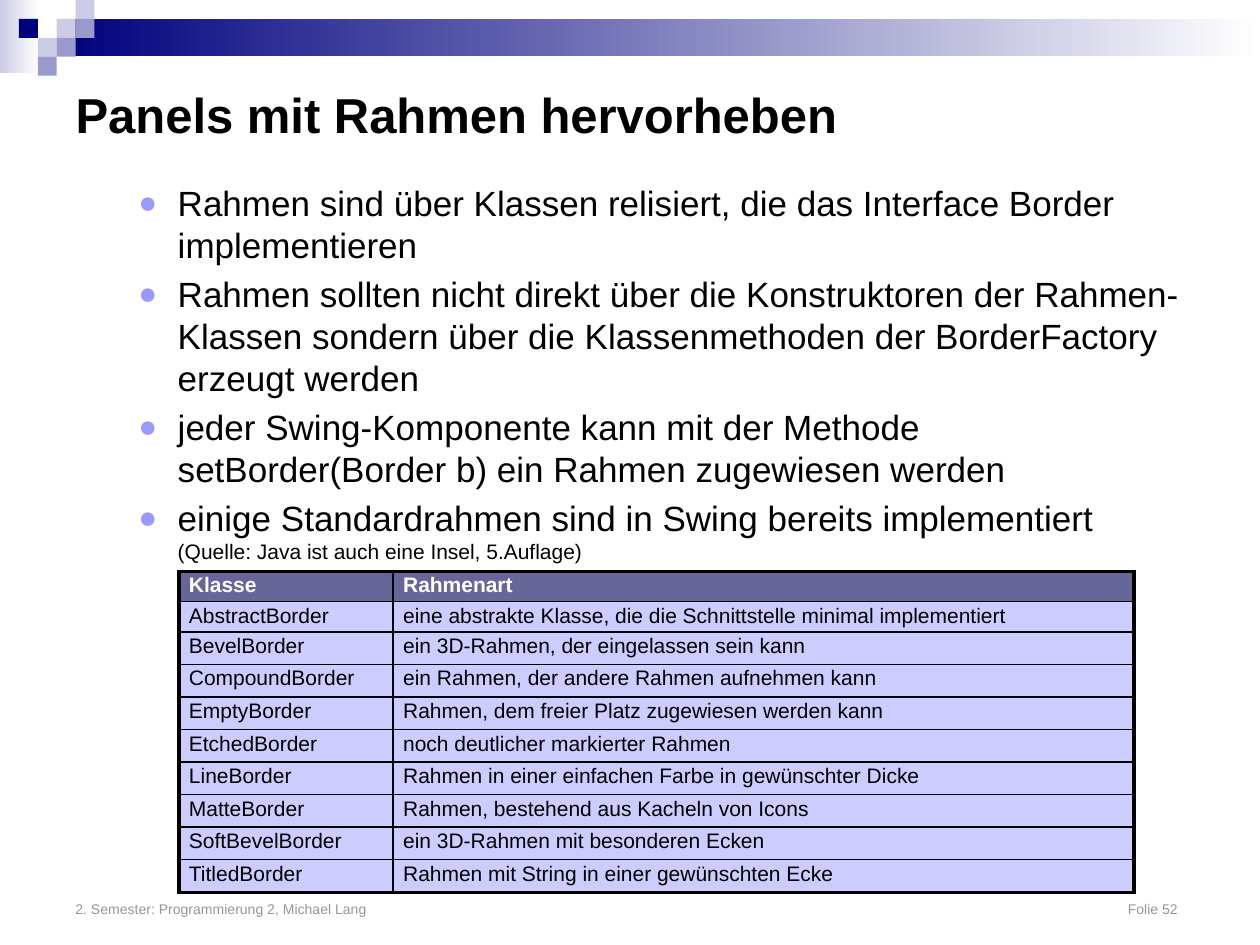
import pptx
import pptx.util
import pptx.dml.color
import pptx.enum.text
import pptx.enum.shapes
import pptx.oxml.ns
from lxml import etree

Pt = pptx.util.Pt
RGB = pptx.dml.color.RGBColor.from_string
ANCHOR = pptx.enum.text.MSO_ANCHOR
qn = pptx.oxml.ns.qn

HUES = {"navy": "00007D", "mid": "9999CC", "pale": "CCCCE6", "white": "FFFFFF",
        "black": "000000", "gray": "969696", "dot": "9999FF",
        "head": "666699", "cell": "CCCCFF"}


def style(font, size, hue, bold=False):
    font.name, font.size, font.bold = "Arial", Pt(size), bold
    font.color.rgb = RGB(HUES[hue])


def node(parent, tag, **attrs):
    return etree.SubElement(parent, qn(tag), attrs)


deck = pptx.Presentation()
deck.slide_width, deck.slide_height = Pt(720), Pt(540)
slide = deck.slides.add_slide(deck.slide_layouts[5])
shapes = slide.shapes

# Header band: two fading bars, then squares on a grid
unit = 10.8
bars = [(0, 0, 22.3, 41.8, "pale", True), (32.4, unit, 687.6, 21.4, "navy", True)]
grid = [(3, 1, "pale"), (4, 0, "pale"), (4, 1, "mid"), (2, 2, "pale"),
        (1, 1, "navy"), (3, 2, "mid"), (2, 3, "mid")]
bars += [(col * unit, row * unit, unit, unit, hue, False) for col, row, hue in grid]
for left, top, width, height, hue, fade in bars:
    bar = shapes.add_shape(pptx.enum.shapes.MSO_SHAPE.RECTANGLE,
                           Pt(left), Pt(top), Pt(width), Pt(height))
    bar.shadow.inherit = False
    bar.line.fill.background()
    if fade:
        bar.fill.gradient()
        bar.fill.gradient_angle = 0
        for stop, shade, place in zip(bar.fill.gradient_stops, (hue, "white"), (0, 1)):
            stop.color.rgb = RGB(HUES[shade])
            stop.position = place
    else:
        bar.fill.solid()
        bar.fill.fore_color.rgb = RGB(HUES[hue])

# Title
title = shapes.title
title.left, title.top, title.width, title.height = Pt(36), Pt(36), Pt(648), Pt(58.3)
title.text_frame.text = "Panels mit Rahmen hervorheben"
title.text_frame.vertical_anchor = ANCHOR.MIDDLE
line = title.text_frame.paragraphs[0]
line.alignment = pptx.enum.text.PP_ALIGN.LEFT
style(line.font, 28, "black", True)

# Bullets
points = [
    "Rahmen sind über Klassen relisiert, die das Interface Border implementieren",
    "Rahmen sollten nicht direkt über die Konstruktoren der Rahmen-Klassen sondern "
    "über die Klassenmethoden der BorderFactory erzeugt werden",
    "jeder Swing-Komponente kann mit der Methode setBorder(Border b) ein Rahmen "
    "zugewiesen werden",
    "einige Standardrahmen sind in Swing bereits implementiert",
]
body = shapes.add_textbox(Pt(36), Pt(100), Pt(648), Pt(392)).text_frame
body.word_wrap = True
for i, point in enumerate(points):
    para = body.paragraphs[0] if i == 0 else body.add_paragraph()
    props = para._p.get_or_add_pPr()
    props.set("marL", str(Pt(58.5)))
    props.set("indent", str(Pt(-22.5)))
    node(node(props, "a:buClr"), "a:srgbClr", val=HUES["dot"])
    node(props, "a:buSzPct", val="90000")
    node(props, "a:buFont", typeface="Arial")
    node(props, "a:buChar", char="●")
    para.space_before = Pt(4 if i else 0)
    style(para.font, 20, "black")
    para.add_run().text = point
para.add_line_break()
source = para.add_run()
source.text = "(Quelle: Java ist auch eine Insel, 5.Auflage)"
source.font.size = Pt(12)

# Table of border classes
rows = [
    ("Klasse", "Rahmenart"),
    ("AbstractBorder", "eine abstrakte Klasse, die die Schnittstelle minimal implementiert"),
    ("BevelBorder", "ein 3D-Rahmen, der eingelassen sein kann"),
    ("CompoundBorder", "ein Rahmen, der andere Rahmen aufnehmen kann"),
    ("EmptyBorder", "Rahmen, dem freier Platz zugewiesen werden kann"),
    ("EtchedBorder", "noch deutlicher markierter Rahmen"),
    ("LineBorder", "Rahmen in einer einfachen Farbe in gewünschter Dicke"),
    ("MatteBorder", "Rahmen, bestehend aus Kacheln von Icons"),
    ("SoftBevelBorder", "ein 3D-Rahmen mit besonderen Ecken"),
    ("TitledBorder", "Rahmen mit String in einer gewünschten Ecke"),
]
last = len(rows) - 1
table = shapes.add_table(len(rows), 2, Pt(102.2), Pt(326.5), Pt(545.8), Pt(183.4)).table
table.columns[0].width, table.columns[1].width = Pt(122.4), Pt(423.4)
for r, row in enumerate(rows):
    table.rows[r].height = Pt(17.3 if r < 2 else 18.6)
    for c, text in enumerate(row):
        cell = table.cell(r, c)
        cell.text = text
        cell.margin_left, cell.margin_right = Pt(5.8), Pt(7.2)
        cell.margin_top = cell.margin_bottom = Pt(1.4)
        style(cell.text_frame.paragraphs[0].font, 12, "black" if r else "white", r == 0)
        # Borders go before the fill: thick outside, thin inside
        props = cell._tc.get_or_add_tcPr()
        outer = {"L": c == 0, "R": c == 1, "T": r == 0, "B": r == last}
        for side, thick in outer.items():
            edge = node(props, "a:ln" + side, w=str(Pt(2.25 if thick else 1)))
            node(node(edge, "a:solidFill"), "a:srgbClr", val=HUES["black"])
        cell.fill.solid()
        cell.fill.fore_color.rgb = RGB(HUES["cell" if r else "head"])

# Footer with the page number at a right tab
foot = shapes.add_textbox(Pt(36), Pt(491.8), Pt(648), Pt(36)).text_frame
foot.word_wrap = True
foot.vertical_anchor = ANCHOR.BOTTOM
para = foot.paragraphs[0]
tabs = node(para._p.get_or_add_pPr(), "a:tabLst")
node(tabs, "a:tab", pos=str(Pt(630)), algn="r")
style(para.font, 8, "gray")
para.add_run().text = "2. Semester: Programmierung 2, Michael Lang\tFolie 52"

deck.save("out.pptx")
